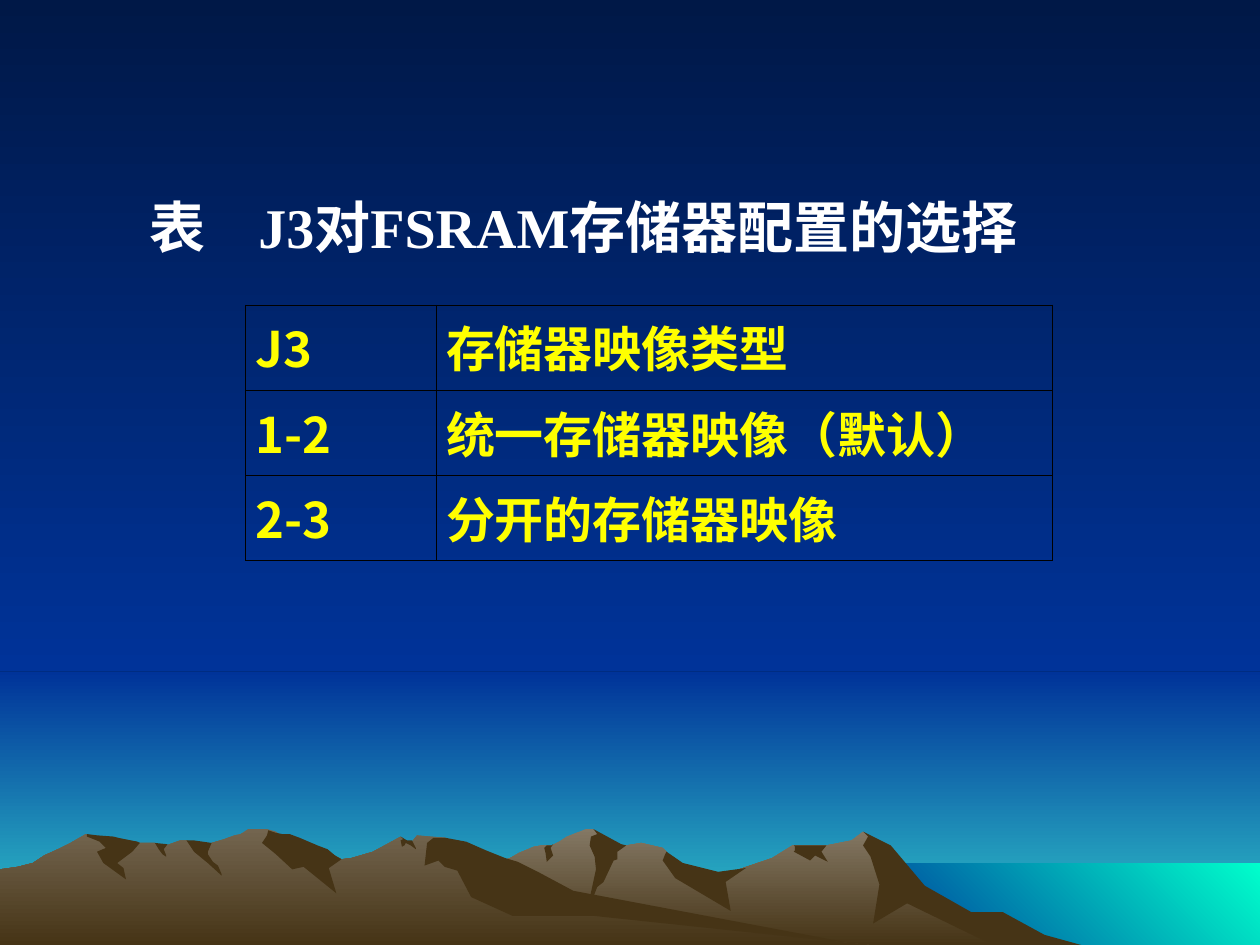
from lxml import etree
from pptx import Presentation
from pptx.dml.color import RGBColor
from pptx.enum.shapes import MSO_SHAPE as Shape
from pptx.enum.text import MSO_ANCHOR as Anchor, MSO_AUTO_SIZE as AutoSize, PP_ALIGN as Align
from pptx.oxml.ns import qn
from pptx.util import Inches, Pt

NIGHT, BLUE, AQUA, GREEN = "001847", "003399", "33CCCC", "00FFCC"
SHADE, ROCK, PALE_ROCK = "463416", "73654F", "847864"
YELLOW, WHITE, BLACK = "FFFF00", "FFFFFF", "000000"
CHINESE_FONT, LATIN_FONT = "Noto Sans CJK SC", "Times New Roman"

TITLE = "表\tJ3对FSRAM存储器配置的选择"
ROWS = [
    ("J3", "存储器映像类型"),
    ("1-2", "统一存储器映像（默认）"),
    ("2-3", "分开的存储器映像"),
]

RIGHT_RANGE = [
    (802, 740), (778, 727), (764, 723), (723, 698), (702, 671), (685, 660), (676, 667),
    (656, 671), (629, 671), (613, 681), (566, 697), (536, 690), (529, 676), (526, 673),
    (509, 669), (497, 671), (486, 673), (474, 661), (471, 658), (465, 658), (450, 664),
    (444, 668), (438, 671), (430, 671), (424, 672), (412, 677), (405, 681), (394, 685),
    (355, 698), (327, 709), (277, 739), (258, 750), (821, 750),
]
RIGHT_SHADOWS = [
    [(796, 724), (771, 724), (734, 703), (707, 671), (685, 660), (689, 664), (685, 671),
     (691, 680), (698, 702), (693, 733), (720, 717), (788, 750), (858, 750), (829, 742)],
    [(471, 658), (474, 662), (469, 664), (468, 671), (472, 680), (473, 690), (465, 727),
     (474, 704), (479, 700), (487, 683), (490, 682), (490, 676), (497, 671), (493, 670)],
    [(529, 676), (528, 678), (526, 683), (536, 697), (580, 723), (576, 700), (592, 689),
     (570, 692), (542, 685)],
    [(650, 671), (630, 671), (631, 672), (631, 675), (630, 676), (643, 683), (647, 679),
     (657, 684), (652, 676), (656, 671)],
    [(433, 677), (432, 673), (434, 671), (438, 671), (439, 670), (437, 673), (439, 679),
     (434, 684)],
]
LEFT_RANGE = [
    (690, 750), (667, 748), (432, 712), (354, 665), (331, 663), (327, 668), (323, 668),
    (318, 664), (296, 676), (279, 681), (271, 682), (260, 676), (236, 681), (223, 663),
    (219, 660), (212, 658), (197, 658), (194, 660), (191, 662), (186, 663), (178, 666),
    (168, 669), (160, 671), (148, 667), (143, 667), (132, 671), (128, 671), (123, 669),
    (111, 669), (94, 671), (68, 662), (56, 669), (50, 672), (46, 674), (35, 679),
    (26, 685), (14, 688), (0, 690), (0, 750),
]
LEFT_SHADOWS = [
    [(212, 663), (208, 669), (219, 678), (232, 690), (241, 688), (267, 709), (261, 689),
     (271, 682), (266, 679), (260, 674), (252, 671), (238, 665), (230, 662), (224, 662),
     (219, 661), (213, 659)],
    [(370, 668), (354, 665), (344, 665), (339, 669), (337, 687), (348, 683), (353, 688),
     (363, 691), (374, 712), (407, 727), (472, 727), (690, 750), (683, 750), (455, 707),
     (427, 692), (411, 684), (401, 681), (386, 675)],
    [(318, 667), (320, 666), (318, 664), (323, 667), (327, 667), (330, 673), (330, 674),
     (326, 671), (322, 669), (321, 671), (319, 672)],
    [(154, 667), (161, 668), (168, 669), (165, 676), (165, 678), (169, 684), (173, 687),
     (176, 694), (176, 695), (165, 685), (154, 676), (148, 667)],
    [(133, 670), (130, 674), (132, 679), (132, 680), (129, 678), (126, 674), (123, 669)],
    [(109, 668), (111, 669), (105, 676), (93, 685), (98, 689), (100, 698), (82, 685),
     (77, 676), (84, 673), (79, 668), (69, 664), (69, 662), (77, 663), (90, 664), (94, 665)],
]


def color(value):
    return RGBColor.from_string(value)


def apply(target, formats):
    for name, value in formats.items():
        setattr(target, name, value)


def paint_gradient(fill, start, end, angle=270):
    fill.gradient()
    fill.gradient_angle = angle
    for stop, value in zip(fill.gradient_stops, (start, end)):
        stop.color.rgb = color(value)


def clear_outline(shape):
    shape.shadow.inherit = False
    shape.line.fill.background()


def add_band(page, box, start, end, angle=270):
    band = page.shapes.add_shape(Shape.RECTANGLE, *map(Inches, box))
    clear_outline(band)
    paint_gradient(band.fill, start, end, angle)


def add_outline(page, box, points):
    builder = page.shapes.build_freeform(*points[0], scale=Inches(0.01))
    builder.add_line_segments(points[1:], close=True)
    outline = builder.convert_to_shape(Inches(box[0]), Inches(box[1]))
    clear_outline(outline)
    return outline


def add_scenery(page, box):
    left, top, width, height = box
    horizon, shore, sea_top = 5.33, 6.83, 6.85
    add_band(page, (left, top + horizon, width, height - horizon), BLUE, AQUA)
    add_band(page, (left, top, width, horizon), NIGHT, BLUE)
    add_band(page, (left + shore, top + sea_top, width - shore, height - sea_top),
             BLUE, GREEN, 45)
    for ridge, shadows, light in ((RIGHT_RANGE, RIGHT_SHADOWS, PALE_ROCK),
                                  (LEFT_RANGE, LEFT_SHADOWS, ROCK)):
        paint_gradient(add_outline(page, box, ridge).fill, light, SHADE)
        for points in shadows:
            shadow = add_outline(page, box, points)
            shadow.fill.solid()
            shadow.fill.fore_color.rgb = color(SHADE)


def format_span(span, size, font, value):
    apply(span.font, {"size": Pt(size), "bold": True, "name": font})
    span.font.color.rgb = color(value)
    etree.SubElement(span.font._element, qn("a:ea"), typeface=CHINESE_FONT)


def add_borders(cell):
    properties = cell._tc.get_or_add_tcPr()
    for side in ("a:lnL", "a:lnR", "a:lnT", "a:lnB"):
        line = etree.SubElement(properties, qn(side), w=str(Pt(0.45)))
        fill = etree.SubElement(line, qn("a:solidFill"))
        etree.SubElement(fill, qn("a:srgbClr"), val=BLACK)


def add_memory_table(page, box):
    table = page.shapes.add_table(len(ROWS), 2, *map(Inches, box)).table
    apply(table, {"first_row": False, "horz_banding": False})
    first_width = 1.51
    for column, width in zip(table.columns, (first_width, box[2] - first_width)):
        column.width = Inches(width)
    for row_index, texts in enumerate(ROWS):
        for column_index, text in enumerate(texts):
            cell = table.cell(row_index, column_index)
            add_borders(cell)
            cell.fill.background()
            apply(cell, {"margin_left": Inches(0.08), "margin_right": Inches(0.08)})
            para = cell.text_frame.paragraphs[0]
            para.alignment = Align.JUSTIFY
            span = para.add_run()
            span.text = text
            format_span(span, 28, CHINESE_FONT, YELLOW)


def place_title(page, box):
    title = page.shapes.title
    apply(title, dict(zip(("left", "top", "width", "height"), map(Inches, box))))
    frame = title.text_frame
    apply(frame, {"word_wrap": True, "auto_size": AutoSize.NONE,
                  "vertical_anchor": Anchor.TOP})
    para = frame.paragraphs[0]
    para.alignment = Align.LEFT
    tabs = etree.SubElement(para._p.get_or_add_pPr(), qn("a:tabLst"))
    etree.SubElement(tabs, qn("a:tab"), pos=str(Inches(0.86)), algn="l")
    span = para.add_run()
    span.text = TITLE
    format_span(span, 32, LATIN_FONT, WHITE)
    page.shapes.element.append(title.element)


def main():
    deck = Presentation()
    apply(deck, {"slide_width": Inches(10), "slide_height": Inches(7.5)})
    page = deck.slides.add_slide(deck.slide_layouts[5])
    paint_gradient(page.background.fill, NIGHT, BLUE)
    add_scenery(page, (0, 0, 10, 7.5))
    add_memory_table(page, (1.95, 2.42, 6.4, 2.03))
    place_title(page, (1.09, 1.48, 7.5, 1.17))
    deck.save("out.pptx")


if __name__ == "__main__":
    main()
